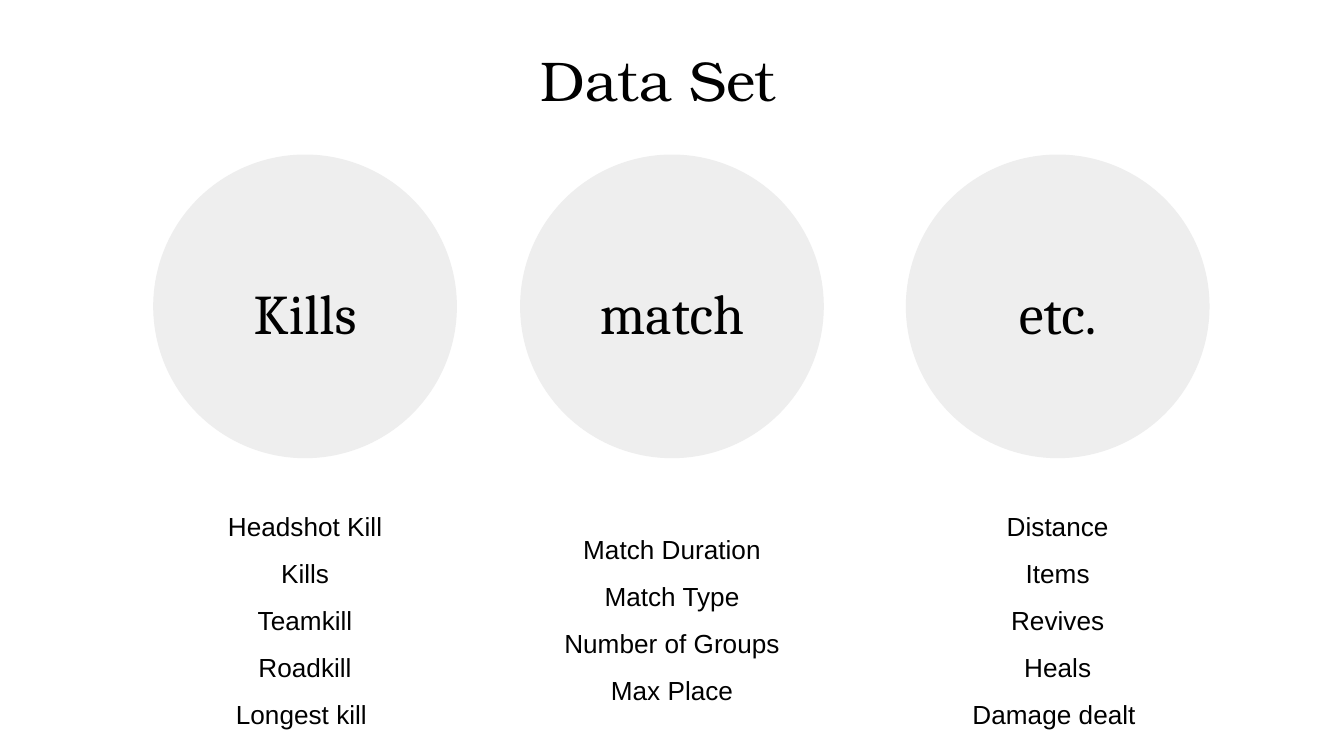
from dataclasses import dataclass

import pptx
import pptx.dml.color
import pptx.enum.shapes
import pptx.enum.text
import pptx.slide
import pptx.text.text
import pptx.util
from pptx.util import Inches

BLACK = pptx.dml.color.RGBColor(0x00, 0x00, 0x00)
LIGHT_GRAY = pptx.dml.color.RGBColor(0xEE, 0xEE, 0xEE)

SLIDE_WIDTH = 10
SLIDE_HEIGHT = SLIDE_WIDTH * 9 / 16
CIRCLE_TOP = 1.15
CIRCLE_SIZE = 2.26
HEADING_TOP = 1.97
HEADING_WIDTH = 1.81
HEADING_HEIGHT = 0.58


@dataclass(frozen=True)
class Category:
    heading: str
    center: float
    list_top: float
    list_width: float
    list_height: float
    fields: tuple[str, ...]


CATEGORIES = (
    Category("Kills", 2.27, 3.58, 1.55, 1.36,
             ("Headshot Kill", "Kills", "Teamkill", "Roadkill", "Longest kill ")),
    Category("match", 5.0, 3.75, 2.02, 1.22,
             ("Match Duration", "Match Type", "Number of Groups", "Max Place")),
    Category("etc.", 7.87, 3.58, 1.55, 1.56,
             ("Distance", "Items", "Revives", "Heals", "Damage dealt ")),
)


def format_frame(frame: pptx.text.text.TextFrame) -> None:
    frame.word_wrap = True
    frame.auto_size = pptx.enum.text.MSO_AUTO_SIZE.NONE
    frame.vertical_anchor = pptx.enum.text.MSO_ANCHOR.TOP
    frame.margin_left = frame.margin_right = Inches(0.1)
    frame.margin_top = frame.margin_bottom = Inches(0.1)


def add_run(paragraph: pptx.text.text._Paragraph, text: str, size: float,
            font_name: str) -> None:
    run = paragraph.add_run()
    run.text = text
    run.font.size = pptx.util.Pt(size)
    run.font.name = font_name
    run.font.color.rgb = BLACK


def add_centered_text(slide: pptx.slide.Slide, center: float, top: float,
                      width: float, height: float, lines: tuple[str, ...],
                      size: float, font_name: str, line_spacing: float) -> None:
    box = slide.shapes.add_textbox(Inches(center - width / 2), Inches(top),
                                   Inches(width), Inches(height))
    frame = box.text_frame
    format_frame(frame)
    for index, line in enumerate(lines):
        paragraph = frame.add_paragraph() if index else frame.paragraphs[0]
        paragraph.alignment = pptx.enum.text.PP_ALIGN.CENTER
        paragraph.line_spacing = line_spacing
        add_run(paragraph, line, size, font_name)


def add_category(slide: pptx.slide.Slide, category: Category) -> None:
    circle = slide.shapes.add_shape(
        pptx.enum.shapes.MSO_SHAPE.OVAL,
        Inches(category.center - CIRCLE_SIZE / 2), Inches(CIRCLE_TOP),
        Inches(CIRCLE_SIZE), Inches(CIRCLE_SIZE))
    circle.shadow.inherit = False
    circle.fill.solid()
    circle.fill.fore_color.rgb = LIGHT_GRAY
    circle.line.fill.background()
    add_centered_text(slide, category.center, HEADING_TOP, HEADING_WIDTH,
                      HEADING_HEIGHT, (category.heading,), 30, "Cambria", 1.0)
    add_centered_text(slide, category.center, category.list_top,
                      category.list_width, category.list_height,
                      category.fields, 14, "Arial", 1.5)


def fill_title(slide: pptx.slide.Slide, text: str) -> None:
    title = slide.shapes.title
    title.left, title.top = Inches(0.42), Inches(0.24)
    title.width, title.height = Inches(9.32), Inches(0.63)
    format_frame(title.text_frame)
    paragraph = title.text_frame.paragraphs[0]
    paragraph.alignment = pptx.enum.text.PP_ALIGN.LEFT
    properties = paragraph._p.get_or_add_pPr()
    properties.set("marL", str(Inches(3.5)))
    properties.set("indent", "0")
    add_run(paragraph, text, 30, "TeX Gyre Bonum")


def main() -> None:
    presentation = pptx.Presentation()
    presentation.slide_width = Inches(SLIDE_WIDTH)
    presentation.slide_height = Inches(SLIDE_HEIGHT)
    title_only = presentation.slide_layouts[5]
    slide = presentation.slides.add_slide(title_only)
    fill_title(slide, "Data Set")
    for category in CATEGORIES:
        add_category(slide, category)
    presentation.save("out.pptx")


if __name__ == "__main__":
    main()
